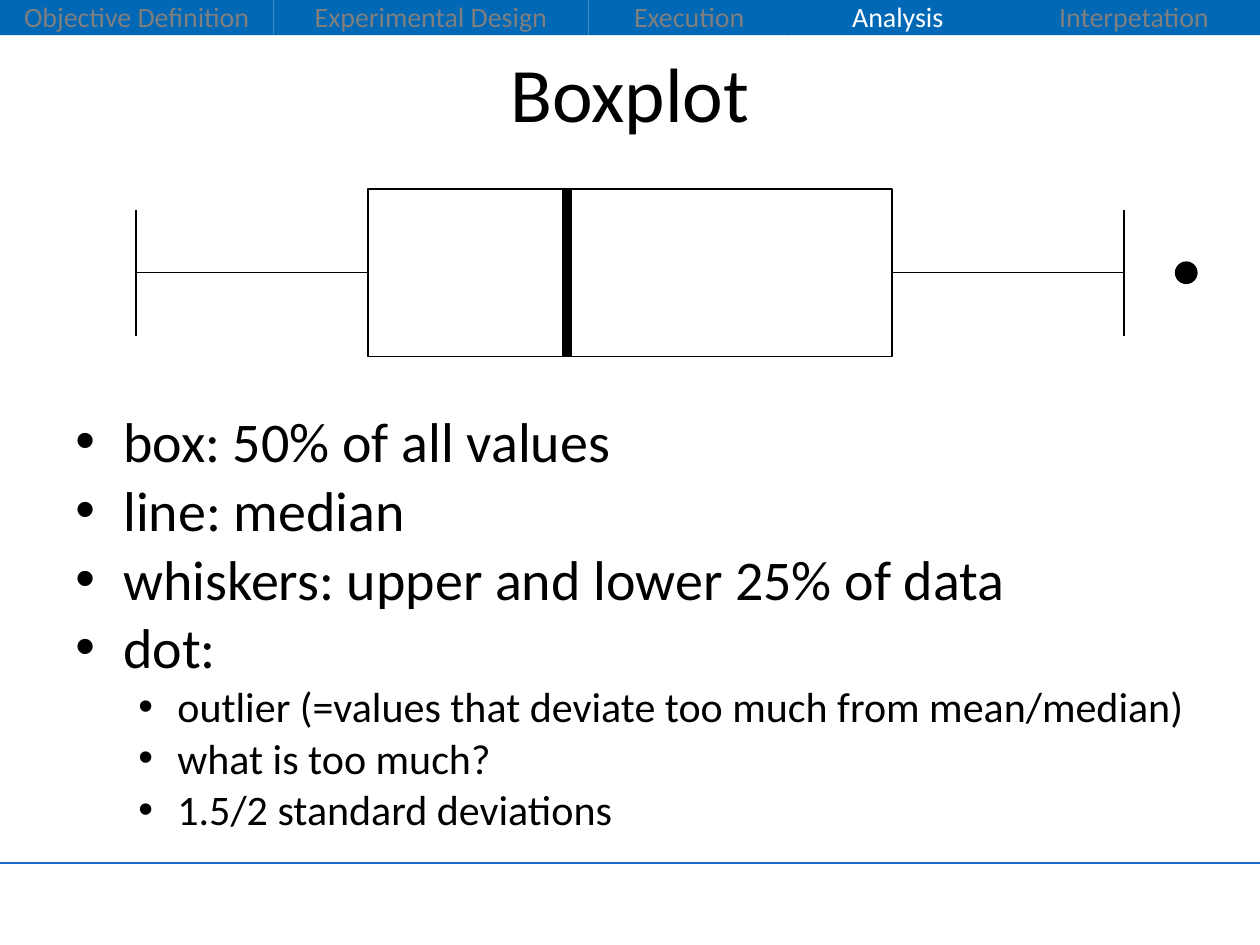
from lxml.etree import SubElement
from pptx import Presentation
from pptx.dml.color import RGBColor
from pptx.enum.shapes import MSO_CONNECTOR, MSO_SHAPE
from pptx.enum.text import MSO_ANCHOR, PP_ALIGN
from pptx.oxml.ns import qn
from pptx.util import Inches, Pt

BLACK = RGBColor(0x00, 0x00, 0x00)
WHITE = RGBColor(0xFF, 0xFF, 0xFF)
GRAY = RGBColor(0x7F, 0x7F, 0x7F)
BLUE = RGBColor(0x01, 0x68, 0xB5)
RULE_BLUE = RGBColor(0x1B, 0x6B, 0xCC)

FONT = "Calibri"
SLIDE_WIDTH, SLIDE_HEIGHT = 10, 7.5
MARGIN = 0.05 * SLIDE_WIDTH
CONTENT_WIDTH = SLIDE_WIDTH - 2 * MARGIN
NAVIGATION_HEIGHT = 0.28
ACTIVE_SECTION = "Analysis"
SECTIONS = [
    ("Objective Definition", 0, 2.17),
    ("Experimental Design", 2.17, 2.5),
    ("Execution", 4.67, 1.6),
    ("Analysis", 6.25, 1.75),
    ("Interpetation", 8, 2),
]
LEVELS = [(32, 0.38, 0.38), (24, 0.81, 0.31)]
BULLETS = [
    (0, "box: 50% of all values"),
    (0, "line: median"),
    (0, "whiskers: upper and lower 25% of data"),
    (0, "dot:"),
    (1, "outlier (=values that deviate too much from mean/median)"),
    (1, "what is too much?"),
    (1, "1.5/2 standard deviations"),
]

BOX_LEFT, BOX_RIGHT = 2.92, 7.08
BOX_TOP, BOX_BOTTOM = 1.5, 2.83
AXIS = (BOX_TOP + BOX_BOTTOM) / 2
WHISKERS = [(1.08, BOX_LEFT), (8.92, BOX_RIGHT)]
CAP_HALF = 0.5
MEDIAN = 4.5
DOT_LEFT, DOT_SIZE = 9.33, 0.17


def format_paragraph(paragraph, size, color, spacing):
    paragraph.line_spacing = spacing
    for run in paragraph.runs:
        run.font.name = FONT
        run.font.size = Pt(size)
        run.font.color.rgb = color


def add_bullet(paragraph, level):
    size, indent, hanging = LEVELS[level]
    paragraph.level = level
    properties = paragraph._p.get_or_add_pPr()
    properties.set("marL", str(Inches(indent)))
    properties.set("indent", str(-Inches(hanging)))
    SubElement(properties, qn("a:buFont"), typeface="Arial")
    SubElement(properties, qn("a:buChar"), char="•")
    format_paragraph(paragraph, size, BLACK, 1.02)


def add_outline(slide, kind, left, top, width, height, fill=None, line=BLACK):
    shape = slide.shapes.add_shape(
        kind, Inches(left), Inches(top), Inches(width), Inches(height))
    shape.shadow.inherit = False
    if fill is None:
        shape.fill.background()
    else:
        shape.fill.solid()
        shape.fill.fore_color.rgb = fill
    if line is None:
        shape.line.fill.background()
    else:
        shape.line.color.rgb = line
        shape.line.width = Pt(0.75)
    return shape


def add_line(slide, start, end, color=BLACK, width=0.75):
    points = [Inches(value) for value in (*start, *end)]
    connector = slide.shapes.add_connector(MSO_CONNECTOR.STRAIGHT, *points)
    connector.line.color.rgb = color
    connector.line.width = Pt(width)
    SubElement(connector._element.spPr, qn("a:effectLst"))


def add_text_frame(slide, top, height):
    box = slide.shapes.add_textbox(
        Inches(MARGIN), Inches(top), Inches(CONTENT_WIDTH), Inches(height))
    box.text_frame.word_wrap = True
    return box.text_frame


def add_navigation(slide):
    for name, left, width in SECTIONS:
        shape = add_outline(slide, MSO_SHAPE.RECTANGLE, left, 0, width,
                            NAVIGATION_HEIGHT, BLUE, None)
        text_frame = shape.text_frame
        text_frame.text = name
        text_frame.word_wrap = True
        text_frame.vertical_anchor = MSO_ANCHOR.MIDDLE
        paragraph = text_frame.paragraphs[0]
        paragraph.alignment = PP_ALIGN.CENTER
        color = WHITE if name == ACTIVE_SECTION else GRAY
        format_paragraph(paragraph, 16, color, 0.93)


def add_title(slide, title):
    text_frame = add_text_frame(slide, 0.3, 1.25)
    text_frame.text = title
    paragraph = text_frame.paragraphs[0]
    paragraph.alignment = PP_ALIGN.CENTER
    format_paragraph(paragraph, 44, BLACK, 1.02)


def add_explanation(slide):
    text_frame = add_text_frame(slide, 3.17, 3.53)
    text_frame.text = "\n".join(text for _, text in BULLETS)
    for paragraph, (level, _) in zip(text_frame.paragraphs, BULLETS):
        add_bullet(paragraph, level)


def add_boxplot(slide):
    add_outline(slide, MSO_SHAPE.RECTANGLE, BOX_LEFT, BOX_TOP,
                BOX_RIGHT - BOX_LEFT, BOX_BOTTOM - BOX_TOP)
    for tip, edge in WHISKERS:
        add_line(slide, (tip, AXIS), (edge, AXIS))
        add_line(slide, (tip, AXIS - CAP_HALF), (tip, AXIS + CAP_HALF))
    add_line(slide, (MEDIAN, BOX_TOP), (MEDIAN, BOX_BOTTOM), width=6)
    add_outline(slide, MSO_SHAPE.OVAL, DOT_LEFT, AXIS - DOT_SIZE / 2,
                DOT_SIZE, DOT_SIZE, BLACK)


def main():
    presentation = Presentation()
    presentation.slide_width = Inches(SLIDE_WIDTH)
    presentation.slide_height = Inches(SLIDE_HEIGHT)
    slide = presentation.slides.add_slide(presentation.slide_layouts[6])
    add_line(slide, (0, 6.85), (SLIDE_WIDTH, 6.85), RULE_BLUE)
    add_navigation(slide)
    add_title(slide, "Boxplot")
    add_explanation(slide)
    add_boxplot(slide)
    presentation.save("out.pptx")


if __name__ == "__main__":
    main()
